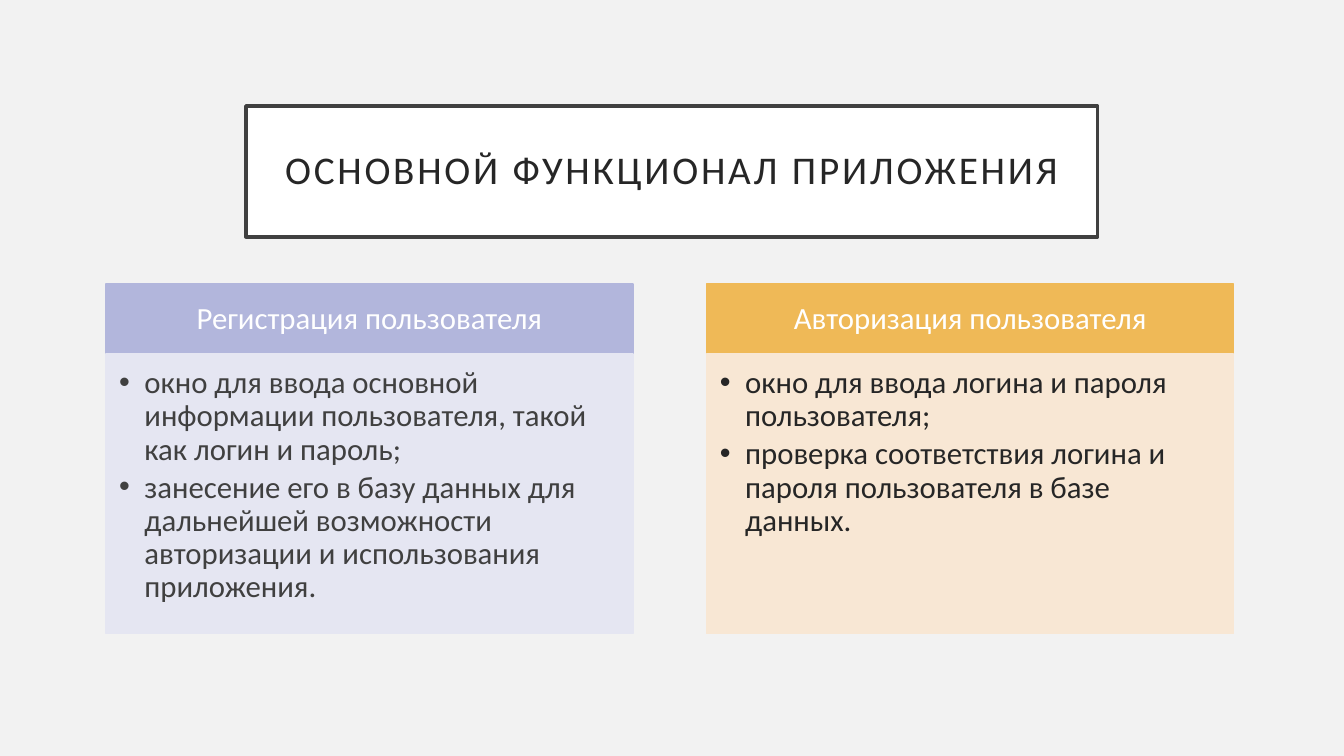
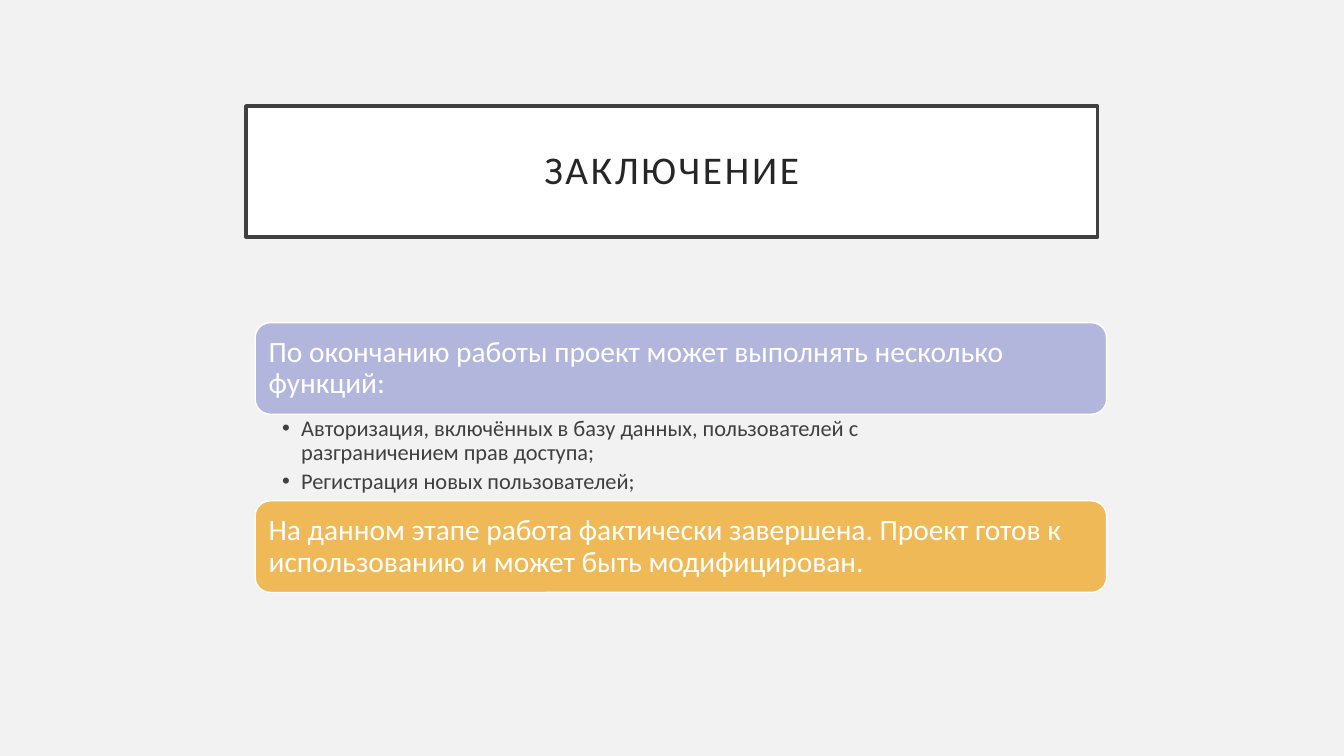
import pptx
import pptx.util
import pptx.dml.color
import pptx.enum.shapes
import pptx.enum.text

Cm, Pt = pptx.util.Cm, pptx.util.Pt
ANCHOR, ALIGN = pptx.enum.text.MSO_ANCHOR, pptx.enum.text.PP_ALIGN
COLORS = {
    "background": "F2F2F2", "white": "FFFFFF", "ink": "262626", "gray": "404040",
    "lilac": "B2B6DC", "pale lilac": "E5E6F2",
    "amber": "EFB957", "pale amber": "F8E7D4",
}
FONT = "Calibri"


def rgb(name):
    return pptx.dml.color.RGBColor.from_string(COLORS[name])


def format_box(shape, box, paragraphs, size, color, insets, fill=None, line=None,
               line_width=1, anchor=ANCHOR.MIDDLE, align=ALIGN.LEFT,
               hanging=None, space_after=0):
    """Place a box, fill it with text and format both; box and insets are in cm."""
    shape.left, shape.top, shape.width, shape.height = (Cm(v) for v in box)
    if fill:
        shape.fill.solid()
        shape.fill.fore_color.rgb = rgb(fill)
        shape.line.color.rgb = rgb(line or fill)
        shape.line.width = Pt(line_width)
    frame = shape.text_frame
    frame.text = "\n".join(paragraphs)
    frame.word_wrap = True
    frame.auto_size = pptx.enum.text.MSO_AUTO_SIZE.NONE
    frame.vertical_anchor = anchor
    (frame.margin_left, frame.margin_top,
     frame.margin_right, frame.margin_bottom) = (Cm(v) for v in insets)
    for paragraph in frame.paragraphs:
        paragraph.alignment = align
        paragraph.line_spacing = 0.9
        paragraph.space_before = Pt(0)
        paragraph.space_after = Pt(space_after)
        if hanging:
            properties = paragraph._p.get_or_add_pPr()
            properties.set("marL", str(Cm(hanging)))
            properties.set("indent", str(-Cm(hanging)))
        for run in paragraph.runs:
            run.font.name = FONT
            run.font.size = Pt(size)
            run.font.bold = False
            run.font.color.rgb = rgb(color)


def add_titled_slide(layout_name, title):
    slide = deck.slides.add_slide(deck.slide_layouts.get_by_name(layout_name))
    format_box(slide.shapes.title, (6.2, 2.67, 21.46, 3.3), [title], 28, "ink",
               [0.51] * 4, fill="white", line="gray", line_width=2.5,
               align=ALIGN.CENTER)
    for run in slide.shapes.title.text_frame.paragraphs[0].runs:
        run.font._element.set("spc", "200")
    return slide


deck = pptx.Presentation()
deck.slide_width, deck.slide_height = Cm(33.87), Cm(19.05)
deck.slide_master.background.fill.solid()
deck.slide_master.background.fill.fore_color.rgb = rgb("background")

# Slide 1: two feature columns
features = add_titled_slide("Comparison", "ОСНОВНОЙ ФУНКЦИОНАЛ ПРИЛОЖЕНИЯ")
columns = [
    ("Регистрация пользователя", "lilac", "gray",
     ["окно для ввода основной информации пользователя, такой как логин и пароль;",
      "занесение его в базу данных для дальнейшей возможности авторизации и "
      "использования приложения."]),
    ("Авторизация пользователя", "amber", "ink",
     ["окно для ввода логина и пароля пользователя;",
      "проверка соответствия логина и пароля пользователя в базе данных."]),
]
column_left, column_pitch, column_width = 2.67, 15.14, 13.28
header_top, header_height, details_height = 7.16, 1.76, 7.04
for number, (heading, accent, text_color, details) in enumerate(columns):
    left = column_left + number * column_pitch
    header = features.placeholders[1 + 2 * number]
    detail_list = features.placeholders[2 + 2 * number]
    format_box(header, (left, header_top, column_width, header_height), [heading],
               22, "white", (0.43, 0.25, 0.43, 0.25), fill=accent,
               align=ALIGN.CENTER)
    format_box(detail_list,
               (left, header_top + header_height, column_width, details_height),
               details, 22, text_color, (0.33, 0.33, 0.43, 0.48),
               fill="pale " + accent, anchor=ANCHOR.TOP, hanging=0.64,
               space_after=3.3)

# Slide 2: two statements with a list between them
conclusion = add_titled_slide("Title and Content", "ЗАКЛЮЧЕНИЕ")
block_left, block_width = 6.43, 21.46
statement_height, list_top, list_height = 2.31, 10.44, 2.18
statements = [
    (list_top - statement_height, "lilac",
     "По окончанию работы проект может выполнять несколько функций:"),
    (list_top + list_height, "amber",
     "На данном этапе работа фактически завершена. Проект готов к\v"
     "использованию и может быть модифицирован."),
]
for top, accent, statement in statements:
    banner = conclusion.shapes.add_shape(
        pptx.enum.shapes.MSO_SHAPE.ROUNDED_RECTANGLE, 0, 0, Cm(1), Cm(1))
    banner.shadow.inherit = False
    format_box(banner, (block_left, top, block_width, statement_height),
               [statement], 21, "white", [0.23] * 4, fill=accent, line="white")

format_box(conclusion.placeholders[1],
           (block_left, list_top, block_width, list_height),
           ["Авторизация, включённых в базу данных, пользователей с\v"
            "разграничением прав доступа;",
            "Регистрация новых пользователей;"],
           16, "gray", (0.68, 0.08, 0.41, 0.08), anchor=ANCHOR.TOP,
           hanging=0.48, space_after=3.2)

deck.save("out.pptx")
